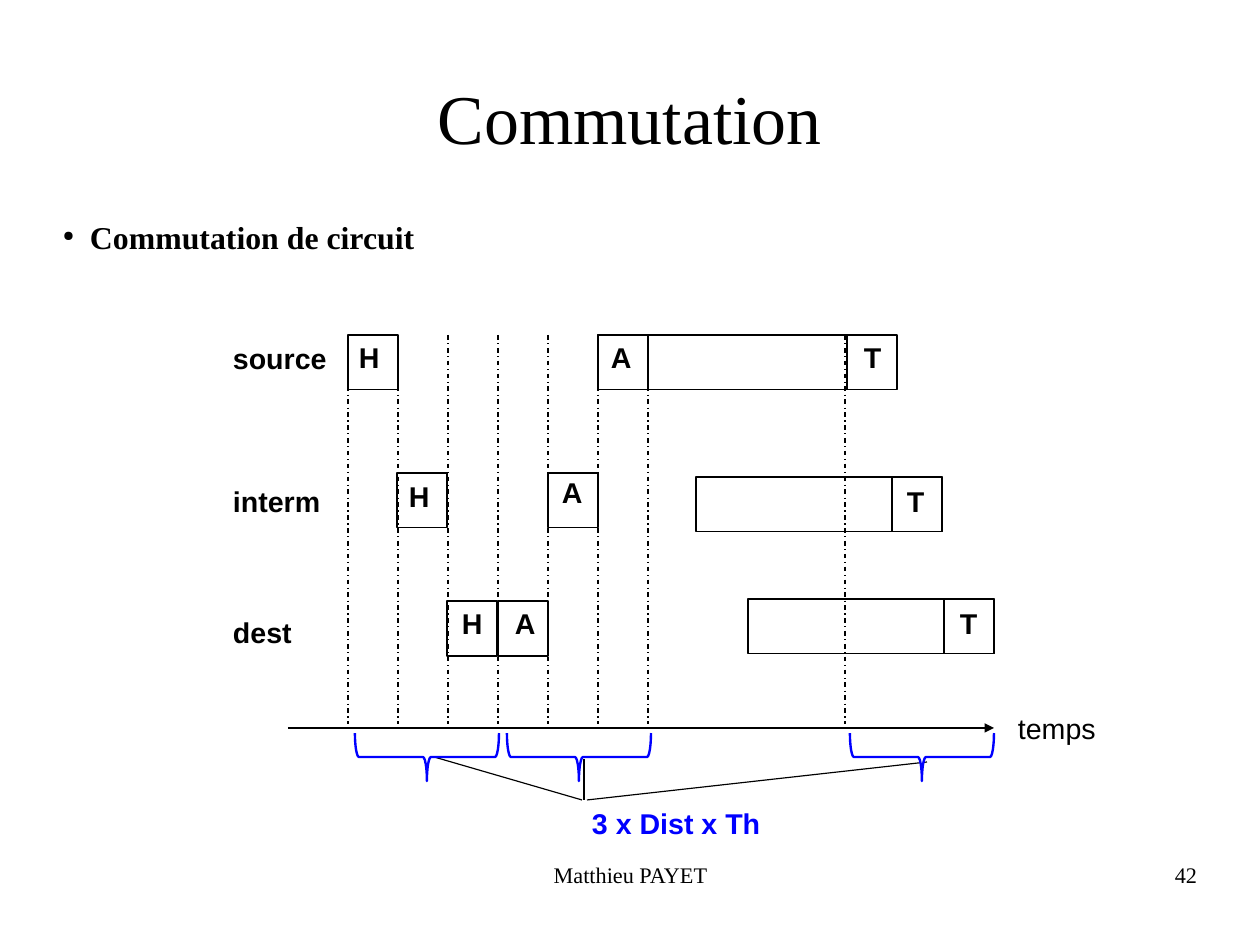
"""Build the circuit-switching timing slide."""
import dataclasses

import lxml.etree
import pptx
import pptx.dml.color
import pptx.enum.dml
import pptx.enum.shapes
import pptx.enum.text
import pptx.oxml.ns
import pptx.util

PX = 8000
SLOT = 50
FRAME_HEIGHT = 55
FIRST_SLOT = 348
DIAGRAM_TOP = 335
BRACE_TOP, BRACE_WIDTH, BRACE_HEIGHT = 733, 144, 48
ALIGN = pptx.enum.text.PP_ALIGN
ANCHOR = pptx.enum.text.MSO_ANCHOR


@dataclasses.dataclass(frozen=True)
class Theme:
    """Colours, fonts, type sizes and line widths."""
    ink: str = "000000"
    accent: str = "0000FF"
    paper: str = "FFFFFF"
    serif: str = "Times New Roman"
    sans: str = "Arial"
    title: int = 44
    bullet: int = 20
    label: int = 18
    footer: int = 14
    thin: float = 0.75
    brace: float = 1.5


THEME = Theme()


def px(length):
    """Turn pixels into EMU."""
    return pptx.util.Emu(length * PX)


def rgb(colour):
    """Turn a hex string into a colour."""
    return pptx.dml.color.RGBColor.from_string(colour)


def add_text(slide, text, left, top, width, height, size, font, bold=False,
             colour=THEME.ink, align=ALIGN.LEFT, anchor=ANCHOR.TOP, inset=(0, 0)):
    """Add a one-paragraph text box and return its paragraph."""
    frame = slide.shapes.add_textbox(px(left), px(top), px(width), px(height)).text_frame
    frame.word_wrap = True
    frame.vertical_anchor = anchor
    frame.margin_left = frame.margin_right = px(inset[0])
    frame.margin_top = frame.margin_bottom = px(inset[1])
    paragraph = frame.paragraphs[0]
    paragraph.text = text
    paragraph.alignment = align
    paragraph.font.size = pptx.util.Pt(size)
    paragraph.font.name = font
    paragraph.font.bold = bold
    paragraph.font.color.rgb = rgb(colour)
    return paragraph


def add_label(slide, text, left, top, width, bold=True, colour=THEME.ink):
    """Add a diagram label."""
    add_text(slide, text, left, top, width, 46, THEME.label, THEME.sans,
             bold, colour, inset=(11, 6))


def add_bullet(paragraph, indent):
    """Give a paragraph a small round bullet with a hanging indent."""
    properties = paragraph._p.get_or_add_pPr()
    properties.set("marL", str(px(indent)))
    properties.set("indent", str(-px(indent)))
    for tag, key, value in (("a:buSzPct", "val", "45000"), ("a:buChar", "char", "●")):
        lxml.etree.SubElement(properties, pptx.oxml.ns.qn(tag)).set(key, value)


def add_line(slide, start, end, dashed=False, arrow=False):
    """Add a thin straight line."""
    line = slide.shapes.add_connector(
        pptx.enum.shapes.MSO_CONNECTOR.STRAIGHT, *map(px, start + end))
    line.line.color.rgb = rgb(THEME.ink)
    line.line.width = pptx.util.Pt(THEME.thin)
    if dashed:
        line.line.dash_style = pptx.enum.dml.MSO_LINE.DASH_DOT
    if arrow:
        outline = line.line._get_or_add_ln()
        lxml.etree.SubElement(outline, pptx.oxml.ns.qn("a:tailEnd")).set("type", "triangle")
    lxml.etree.SubElement(line._element.spPr, pptx.oxml.ns.qn("a:effectLst"))


def add_frame(slide, left, top, width=SLOT):
    """Add an unfilled frame on a row of the diagram."""
    frame = slide.shapes.add_shape(pptx.enum.shapes.MSO_SHAPE.RECTANGLE,
                                   px(left), px(top), px(width), px(FRAME_HEIGHT))
    frame.shadow.inherit = False
    frame.fill.background()
    frame.line.color.rgb = rgb(THEME.ink)
    frame.line.width = pptx.util.Pt(THEME.thin)


def add_brace(slide, left):
    """Add a brace under the time axis, pointing down."""
    shift = (BRACE_WIDTH - BRACE_HEIGHT) // 2
    brace = slide.shapes.add_shape(pptx.enum.shapes.MSO_SHAPE.LEFT_BRACE,
                                   px(left + shift), px(BRACE_TOP - shift),
                                   px(BRACE_HEIGHT), px(BRACE_WIDTH))
    brace.rotation = 270
    brace.shadow.inherit = False
    brace.fill.solid()
    brace.fill.fore_color.rgb = rgb(THEME.paper)
    brace.line.color.rgb = rgb(THEME.accent)
    brace.line.width = pptx.util.Pt(THEME.brace)


def add_time_axis(slide):
    """Add the axis, its slot marks, braces and the total duration."""
    for start, end in (((584, 759), (584, 800)), ((927, 762), (587, 800)),
                       ((417, 752), (582, 800))):
        add_line(slide, start, end)
    for left in (355, 507, 850):
        add_brace(slide, left)
    add_line(slide, (288, 728), (994, 728), arrow=True)
    for mark in [FIRST_SLOT + SLOT * slot for slot in range(7)] + [845]:
        add_line(slide, (mark, DIAGRAM_TOP), (mark, 724), dashed=True)
    add_label(slide, "temps", 1007, 705, 110, bold=False)
    add_label(slide, "3 x Dist x Th", 581, 800, 210, colour=THEME.accent)


def add_exchange(slide):
    """Add the node names and the frames they exchange."""
    for node, top, width in (("source", 335, 171), ("interm", 478, 152), ("dest", 609, 105)):
        add_label(slide, node, 222, top, width)
    for left, top, width in ((598, 335, 299), (696, 477, 246), (748, 599, 246)):
        add_frame(slide, left, top, width)
    for letter, left, top, shift_x, shift_y in (
            ("H", 348, 335, 0, -1), ("H", 397, 473, 1, 0), ("H", 447, 601, 4, -1),
            ("A", 498, 601, 6, -1), ("A", 548, 473, 3, -4), ("A", 598, 335, 2, -1),
            ("T", 847, 335, 6, -1), ("T", 892, 477, 4, 1), ("T", 944, 599, 5, 1)):
        add_frame(slide, left, top)
        add_label(slide, letter, left + shift_x, top + shift_y, 54)


def main():
    """Build and save the slide."""
    deck = pptx.Presentation()
    deck.slide_width, deck.slide_height = px(1260), px(945)
    slide = deck.slides.add_slide(deck.slide_layouts[6])
    add_text(slide, "Commutation", 63, 38, 1134, 158, THEME.title, THEME.serif,
             align=ALIGN.CENTER, anchor=ANCHOR.MIDDLE)
    topic = add_text(slide, "Commutation de circuit", 63, 218, 1034, 40,
                     THEME.bullet, THEME.serif, bold=True)
    add_bullet(topic, 27)
    add_time_axis(slide)
    add_exchange(slide)
    add_text(slide, "Matthieu PAYET", 431, 861, 399, 65, THEME.footer, THEME.serif,
             align=ALIGN.CENTER)
    add_text(slide, "42", 903, 861, 294, 65, THEME.footer, THEME.serif, align=ALIGN.RIGHT)
    deck.save("out.pptx")


if __name__ == "__main__":
    main()
